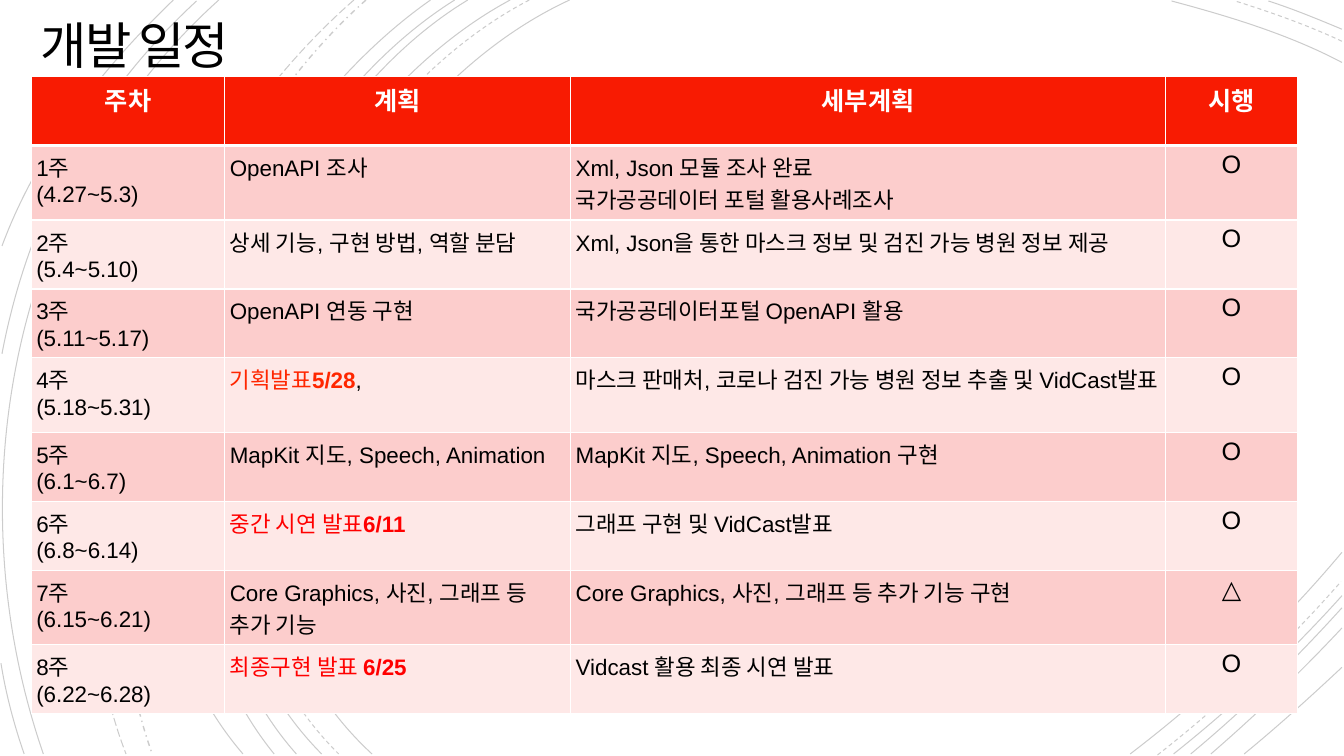
import pptx
import pptx.dml.color
import pptx.enum.dml
import pptx.enum.text
import pptx.oxml
import pptx.oxml.ns
import pptx.util
from lxml import etree

Inches = pptx.util.Inches
Pt = pptx.util.Pt
qn = pptx.oxml.ns.qn
Align = pptx.enum.text.PP_ALIGN
Dash = pptx.enum.dml.MSO_LINE

BLACK, WHITE, RED = "000000", "FFFFFF", "F81B02"
BANDS = ("FCCDCC", "FEE8E7")
COLUMN_WIDTHS = (1.92, 3.43, 5.9, 1.31)
HEADINGS = ("주차", "계획", "세부계획", "시행")

# Each plan is plain text or a tuple of (text, colour, bold) spans
WEEKS = [
    ("1주 ", "4.27~5.3", "OpenAPI 조사",
     "Xml, Json 모듈 조사 완료\n국가공공데이터 포털 활용사례조사", "O"),
    ("2주 ", "5.4~5.10", "상세 기능, 구현 방법, 역할 분담 ",
     "Xml, Json을 통한 마스크 정보 및 검진 가능 병원 정보 제공", "O"),
    ("3주", "5.11~5.17", "OpenAPI 연동 구현", "국가공공데이터포털 OpenAPI 활용", "O"),
    ("4주", "5.18~5.31",
     (("기획발표", "FF2600", False), ("5/28", "FF2600", True), (",", BLACK, False)),
     "마스크 판매처, 코로나 검진 가능 병원 정보 추출 및 VidCast발표", "O"),
    ("5주", "6.1~6.7", "MapKit 지도, Speech, Animation",
     "MapKit 지도, Speech, Animation 구현", "O"),
    ("6주", "6.8~6.14",
     (("중간 시연 발표", "FF0000", False), ("6/11", "FF0000", True)),
     "그래프 구현 및 VidCast발표", "O"),
    ("7주", "6.15~6.21", "Core Graphics, 사진, 그래프 등 추가 기능 ",
     "Core Graphics, 사진, 그래프 등 추가 기능 구현", "△"),
    ("8주", "6.22~6.28",
     (("최종구현 발표 ", "FF0000", False), ("6/25", "FF0000", True)),
     "Vidcast 활용 최종 시연 발표", "O"),
]

# Start, two control points and end of each background arc
ARCS = [
    ((5.65, 0), (3.15, 1.15), (1.43, 5.4), (3.69, 7.48)),
    ((13.31, 0.62), (12.78, 0.34), (12.18, 0.16), (11.62, 0.01)),
    ((11.21, 7.48), (11.97, 6.9), (12.69, 6.22), (13.31, 5.48)),
    ((5.06, 0), (2.7, 1.27), (1.1, 5.37), (3.19, 7.48)),
    ((13.31, 0.29), (13.07, 0.19), (12.83, 0.09), (12.58, 0.01)),
    ((11.64, 7.48), (12.23, 7.01), (12.8, 6.48), (13.31, 5.91)),
    ((4.64, 0), (2.44, 1.33), (1.1, 5.41), (2.94, 7.48)),
    ((11.81, 7.48), (12.34, 7.04), (12.84, 6.55), (13.31, 6.03)),
    ((4.51, 0), (2.31, 1.38), (0.97, 5.33), (2.72, 7.48)),
    ((12.01, 7.48), (12.46, 7.09), (12.9, 6.67), (13.31, 6.23)),
    ((4.27, 0), (2.17, 1.47), (0.53, 5.29), (2.41, 7.48)),
    ((12.34, 7.48), (12.67, 7.21), (12.99, 6.92), (13.31, 6.62)),
    ((2.17, 0), (0.11, 1.85), (-0.46, 4.9), (0.43, 7.48)),
    ((1.95, 0.01), (0.92, 0.96), (0.28, 2.14), (0.02, 3.51)),
    ((0.01, 6.58), (0.06, 6.89), (0.14, 7.19), (0.24, 7.48)),
    ((1.72, 0), (1, 0.69), (0.37, 1.5), (0.02, 2.44)),
]
DASHED_ARCS = [
    ((5.25, 0), (2.85, 1.25), (1.23, 5.37), (3.36, 7.48)),
    ((13.31, 0.41), (12.97, 0.25), (12.6, 0.12), (12.25, 0.01)),
    ((11.48, 7.49), (12.13, 6.98), (12.75, 6.4), (13.3, 5.77)),
]
DASH_DOT_ARCS = [((3.63, 0), (1.76, 1.66), (0.65, 5.09), (1.51, 7.48))]
LONG_DASH_ARCS = [((3.51, 0), (1.57, 1.69), (0.29, 4.99), (1.25, 7.48))]


def colour(value):
    return pptx.dml.color.RGBColor.from_string(value)


def add_text(para, text, font="Arial", size=16, color=BLACK, bold=False, spacing=None):
    span = para.add_run()
    span.text = text
    span.font.name = font
    span.font.size = Pt(size)
    span.font.bold = bold
    span.font.color.rgb = colour(color)
    if spacing is not None:
        span.font._element.set("spc", str(round(spacing * 100)))


# Background arcs
def point_on_curve(points, t):
    weights = ((1 - t) ** 3, 3 * t * (1 - t) ** 2, 3 * t * t * (1 - t), t ** 3)
    return tuple(sum(w * p[axis] for w, p in zip(weights, points)) for axis in (0, 1))


def draw_arc(page, box, points, dash, width):
    # The leftmost point gives the outline its true bounds
    leftmost = min(point_on_curve(points, step / 100) for step in range(101))
    start, *rest = [(Inches(box[0] + x), Inches(box[1] + y))
                    for x, y in (points[0], leftmost, points[-1])]
    builder = page.shapes.build_freeform(*start)
    builder.add_line_segments(rest, close=False)
    arc = builder.convert_to_shape()

    # One cubic curve takes the place of the straight segments
    outline = arc._element.find(".//" + qn("a:path"))
    for segment in outline.findall(qn("a:lnTo")):
        outline.remove(segment)
    curve = etree.SubElement(outline, qn("a:cubicBezTo"))
    for x, y in points[1:]:
        etree.SubElement(curve, qn("a:pt"), x=str(Inches(box[0] + x) - arc.left),
                         y=str(Inches(box[1] + y) - arc.top))

    arc.shadow.inherit = False
    arc.fill.background()
    arc.line.width = Pt(width)
    arc.line.color.rgb = colour(BLACK)
    arc.line.dash_style = dash
    tint = arc.line._ln.find(".//" + qn("a:srgbClr"))
    etree.SubElement(tint, qn("a:alpha"), val="20000")


def draw_background(page, box):
    for arcs, dash, width in ((ARCS, Dash.SOLID, 0.75), (DASHED_ARCS, Dash.DASH, 0.75),
                              (DASH_DOT_ARCS, Dash.DASH_DOT, 1),
                              (LONG_DASH_ARCS, Dash.LONG_DASH, 0.75)):
        for points in arcs:
            draw_arc(page, box, points, dash, width)


# Title, in front of the arcs
def draw_title(page, box):
    title = page.shapes.title
    page.shapes._spTree.append(title._element)
    title.left, title.top, title.width, title.height = map(Inches, box)
    frame = title.text_frame
    frame.word_wrap = True
    frame.auto_size = pptx.enum.text.MSO_AUTO_SIZE.NONE
    frame.vertical_anchor = pptx.enum.text.MSO_ANCHOR.MIDDLE
    frame.margin_left = frame.margin_right = Inches(0.25)
    frame.margin_top = frame.margin_bottom = Inches(0.25)
    para = frame.paragraphs[0]
    para.alignment = Align.CENTER
    para.line_spacing = 0.85
    add_text(para, "개발 일정", font="Calibri", size=36, spacing=-1.5)


# Schedule table
def style_cell(cell, fill, bottom=1, margin=None):
    if margin is not None:
        cell.margin_left = cell.margin_right = Inches(margin)
        cell.margin_top = cell.margin_bottom = Inches(margin)
    properties = cell._tc.get_or_add_tcPr()
    for side, width in (("L", 1), ("R", 1), ("T", 1), ("B", bottom)):
        border = etree.SubElement(properties, qn("a:ln" + side), w=str(Pt(width)))
        paint = etree.SubElement(border, qn("a:solidFill"))
        etree.SubElement(paint, qn("a:srgbClr"), val=WHITE)
    cell.fill.solid()
    cell.fill.fore_color.rgb = colour(fill)


def fill_cell(cell, content, align=Align.LEFT, **style):
    lines = content.split("\n") if isinstance(content, str) else [content]
    for index, line in enumerate(lines):
        para = cell.text_frame.add_paragraph() if index else cell.text_frame.paragraphs[0]
        para.alignment = align
        spans = ((line, BLACK, False),) if isinstance(line, str) else line
        for text, color, bold in spans:
            add_text(para, text, **{"color": color, "bold": bold, **style})


def draw_schedule(page, box):
    count = len(WEEKS) + 1
    table = page.shapes.add_table(count, len(HEADINGS), *map(Inches, box)).table
    for column, width in zip(table.columns, COLUMN_WIDTHS):
        column.width = Inches(width)
    for cell, heading in zip(table.rows[0].cells, HEADINGS):
        style_cell(cell, RED, bottom=3)
        fill_cell(cell, heading, Align.CENTER, font="Roboto Slab", size=18,
                  color=WHITE, bold=True)
    for index, (week, dates, plan, detail, status) in enumerate(WEEKS):
        *plan_cells, status_cell = table.rows[index + 1].cells
        band = BANDS[index % 2]
        for cell, content in zip(plan_cells, (f"{week}\n({dates})", plan, detail)):
            style_cell(cell, band, margin=0.05)
            fill_cell(cell, content)
        style_cell(status_cell, band)
        fill_cell(status_cell, status, Align.CENTER, size=18)


deck = pptx.Presentation()
deck.slide_width, deck.slide_height = Inches(13.33), Inches(7.5)
schedule_page = deck.slides.add_slide(deck.slide_layouts[5])
draw_background(schedule_page, (0, 0, 13.33, 7.5))
draw_title(schedule_page, (0, 0.14, 2.68, 0.7))
draw_schedule(schedule_page, (0.31, 0.76, 12.56, 6.15))
deck.save("out.pptx")
